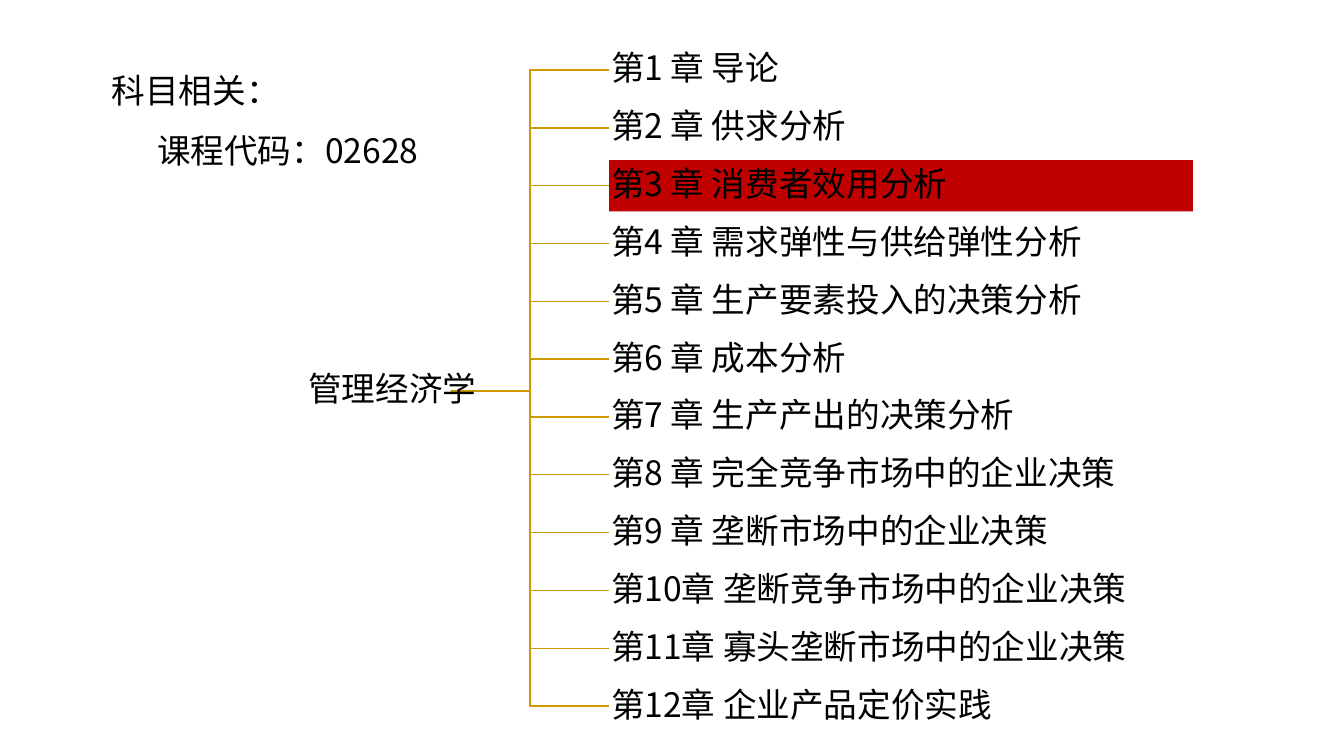
from pptx import Presentation
from pptx.dml.color import RGBColor
from pptx.enum.shapes import MSO_SHAPE
from pptx.enum.text import MSO_ANCHOR, PP_ALIGN
from pptx.util import Inches, Pt

FONT = "Noto Sans CJK SC"
BLACK, WHITE, RED, GOLD = "000000", "FFFFFF", "C00000", "CC9A00"
COURSE = "管理经济学"
CHAPTERS = [
    "第1 章 导论",
    "第2 章 供求分析",
    "第3 章 消费者效用分析",
    "第4 章 需求弹性与供给弹性分析",
    "第5 章 生产要素投入的决策分析",
    "第6 章 成本分析",
    "第7 章 生产产出的决策分析",
    "第8 章 完全竞争市场中的企业决策",
    "第9 章 垄断市场中的企业决策",
    "第10章 垄断竞争市场中的企业决策",
    "第11章 寡头垄断市场中的企业决策",
    "第12章 企业产品定价实践",
]
CURRENT_CHAPTER = 3
CHAPTER_HEIGHT = 0.51


def color(hex_string):
    return RGBColor.from_string(hex_string)


def style(paragraph, line_spacing, align=PP_ALIGN.LEFT):
    paragraph.alignment = align
    paragraph.line_spacing = line_spacing
    paragraph.font.name = FONT
    paragraph.font.size = Pt(24)
    paragraph.font.color.rgb = color(BLACK)


def write_label(shape, text, align=PP_ALIGN.LEFT):
    frame = shape.text_frame
    frame.word_wrap = True
    frame.vertical_anchor = MSO_ANCHOR.MIDDLE
    frame.margin_left = frame.margin_right = Inches(0.02)
    frame.margin_top = frame.margin_bottom = Inches(0.02)
    frame.text = text
    style(frame.paragraphs[0], 0.9, align)


def add_branch(slide, start, end):
    (x1, y1), (x2, y2) = start, end
    bend = (x1 + x2) / 2
    builder = slide.shapes.build_freeform(Inches(x1), Inches(y1))
    corners = [(bend, y1), (bend, y2), (x2, y2)]
    builder.add_line_segments([(Inches(x), Inches(y)) for x, y in corners], close=False)
    branch = builder.convert_to_shape()
    branch.shadow.inherit = False
    branch.fill.background()
    branch.line.color.rgb = color(GOLD)
    branch.line.width = Pt(1)


def add_chapter(slide, text, left, top, width, fill):
    chapter = slide.shapes.add_shape(
        MSO_SHAPE.RECTANGLE, Inches(left), Inches(top), Inches(width), Inches(CHAPTER_HEIGHT))
    chapter.shadow.inherit = False
    chapter.fill.solid()
    chapter.fill.fore_color.rgb = color(fill)
    chapter.line.fill.background()
    write_label(chapter, text)


def add_chapter_tree(slide, left, top, width, height):
    chapters_left = left + 3.31
    root = (left + 1.74, top + 3.44)
    pitch = (height - CHAPTER_HEIGHT) / (len(CHAPTERS) - 1)
    tops = [top + i * pitch for i in range(len(CHAPTERS))]
    for chapter_top in reversed(tops):
        add_branch(slide, root, (chapters_left, chapter_top + CHAPTER_HEIGHT / 2))
    course = slide.shapes.add_textbox(
        Inches(left), Inches(root[1] - 0.58), Inches(2.32), Inches(1.16))
    write_label(course, COURSE, PP_ALIGN.CENTER)
    for number, (text, chapter_top) in enumerate(zip(CHAPTERS, tops), 1):
        fill = RED if number == CURRENT_CHAPTER else WHITE
        add_chapter(slide, text, chapters_left, chapter_top, left + width - chapters_left, fill)


def add_subject_info(slide, left, top, width, height):
    info = slide.shapes.add_textbox(Inches(left), Inches(top), Inches(width), Inches(height))
    frame = info.text_frame
    frame.word_wrap = True
    frame.text = "科目相关：\n课程代码：02628"
    for paragraph in frame.paragraphs:
        style(paragraph, 1.5)
    code_properties = frame.paragraphs[1]._p.get_or_add_pPr()
    code_properties.set("marL", str(Inches(0.45)))
    code_properties.set("indent", "0")


def main():
    presentation = Presentation()
    presentation.slide_width = Inches(13.33)
    presentation.slide_height = Inches(7.5)
    slide = presentation.slides.add_slide(presentation.slide_layouts[6])
    add_chapter_tree(slide, 2.73, 0.44, 9.1, 6.82)
    add_subject_info(slide, 1.01, 0.44, 8.19, 1.31)
    presentation.save("out.pptx")


if __name__ == "__main__":
    main()
